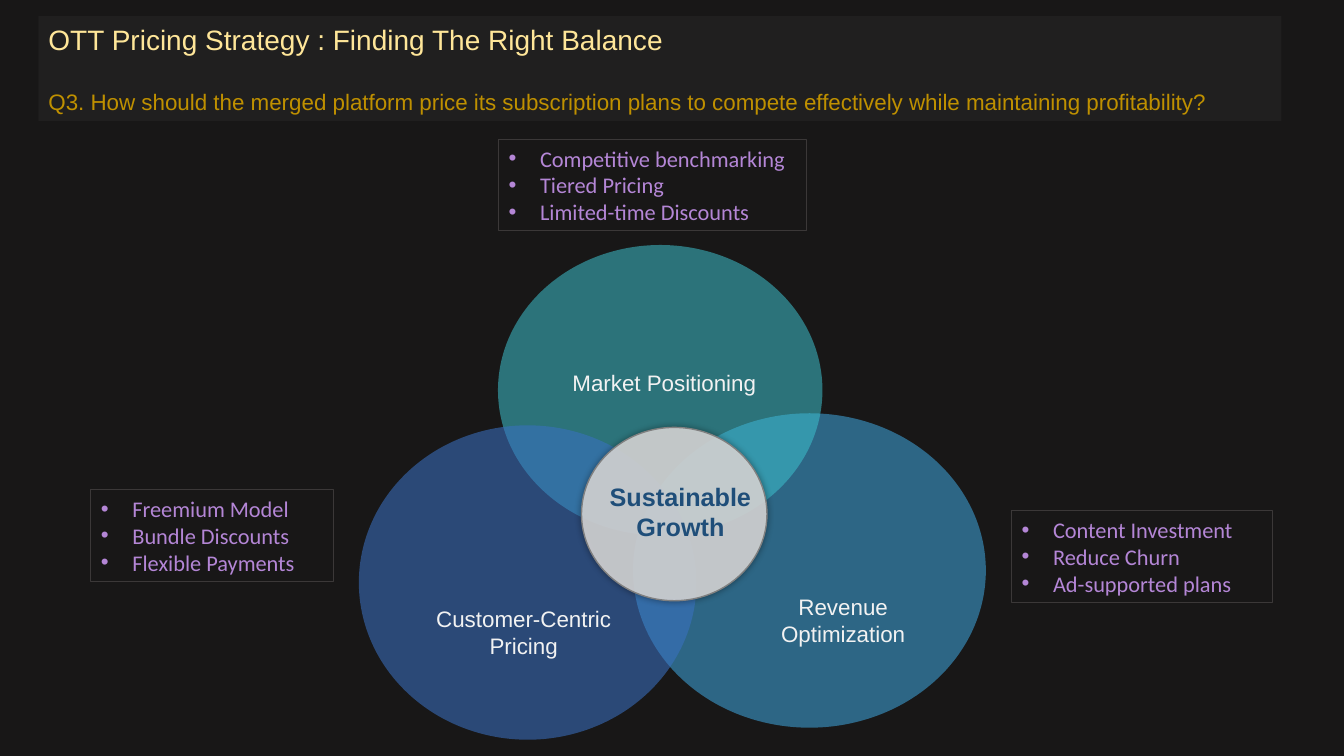
from dataclasses import dataclass

from lxml.etree import SubElement
from pptx import Presentation
from pptx.dml.color import RGBColor
from pptx.enum.shapes import MSO_SHAPE
from pptx.enum.text import MSO_ANCHOR, MSO_AUTO_SIZE, PP_ALIGN
from pptx.oxml.ns import qn
from pptx.util import Pt


@dataclass(frozen=True)
class Theme:
    back: str = "181717"
    band: str = "262626"
    head: str = "FFE699"
    query: str = "BF9000"
    market: str = "3DC1CE"
    client: str = "3A71C3"
    income: str = "3B97CA"
    core: str = "D9D9D9"
    rim: str = "808080"
    label: str = "F2F2F2"
    growth: str = "1F4E79"
    item: str = "B486D6"
    frame: str = "3B3838"
    sans: str = "Arial"
    list_font: str = "Calibri"
    large: int = 20
    medium: int = 18
    small: int = 16


THEME = Theme()


def tint(fill, color, alpha):
    """Fill with a colour at an opacity in percent."""
    fill.solid()
    fill.fore_color.rgb = RGBColor.from_string(color)
    node = fill._xPr.find(qn("a:solidFill"))[0]
    SubElement(node, qn("a:alpha"), val=str(alpha * 1000))


def style(para, color, size, face=THEME.sans, bold=False):
    font = para.font
    font.name, font.size, font.bold = face, Pt(size), bold
    font.color.rgb = RGBColor.from_string(color)


def place(box, dx, dy, wide, high):
    """Turn offsets inside a box into slide lengths."""
    return Pt(box[0] + dx), Pt(box[1] + dy), Pt(wide), Pt(high)


def set_frame(frame):
    frame.word_wrap = True
    frame.auto_size = MSO_AUTO_SIZE.NONE
    frame.vertical_anchor = MSO_ANCHOR.MIDDLE


def add_title(slide, box):
    title = slide.shapes.title
    title.left, title.top, title.width, title.height = map(Pt, box)
    tint(title.fill, THEME.band, 58)
    frame = title.text_frame
    set_frame(frame)
    frame.text = (
        "OTT Pricing Strategy : Finding The Right Balance\n"
        "Q3. How should the merged platform price its subscription plans "
        "to compete effectively while maintaining profitability?"
    )
    head, query = frame.paragraphs
    head.alignment = query.alignment = PP_ALIGN.LEFT
    query.space_before = Pt(23)
    style(head, THEME.head, THEME.large)
    style(query, THEME.query, THEME.small)


def add_disc(slide, spot, color, alpha):
    disc = slide.shapes.add_shape(MSO_SHAPE.OVAL, *spot)
    disc.shadow.inherit = False
    tint(disc.fill, color, alpha)
    disc.line.fill.background()
    return disc


def add_label(slide, spot, text, color, size, bold=False):
    frame = slide.shapes.add_textbox(*spot).text_frame
    set_frame(frame)
    frame.text = text
    for para in frame.paragraphs:
        para.alignment = PP_ALIGN.CENTER
        style(para, color, size, bold=bold)


def add_glow(shape):
    """Give a shape a soft, centred shadow."""
    effects = shape._element.spPr.find(qn("a:effectLst"))
    glow = SubElement(effects, qn("a:outerShdw"), blurRad=str(Pt(5)), dist="0")
    black = SubElement(glow, qn("a:srgbClr"), val="000000")
    SubElement(black, qn("a:alpha"), val="40000")


def add_venn(slide, box):
    # Overlapping discs, back to front
    discs = [
        ((196.2, 120.2, 252, 224.6), THEME.income, 62),
        ((99.7, 0, 231.8, 207.4), THEME.market, 54),
        ((0.3, 128.8, 241.2, 224.6), THEME.client, 56),
    ]
    for area, color, alpha in discs:
        add_disc(slide, place(box, *area), color, alpha)

    # Centre disc
    core = add_disc(slide, place(box, 159.4, 130.3, 132.5, 123.8), THEME.core, 88)
    core.line.color.rgb = RGBColor.from_string(THEME.rim)
    core.line.width = Pt(1)
    add_glow(core)

    # Labels
    labels = [
        ((132.8, 84.9, 171.4, 26.6), "Market Positioning"),
        ((41.4, 253.4, 153.4, 46), "Customer-Centric\nPricing"),
        ((279, 244.8, 134.6, 46), "Revenue\nOptimization"),
    ]
    for area, text in labels:
        add_label(slide, place(box, *area), text, THEME.label, THEME.small)
    add_label(slide, place(box, 167.4, 164.8, 125.3, 51.1), "Sustainable Growth",
              THEME.growth, THEME.medium, bold=True)


def add_list(slide, box, items):
    card = slide.shapes.add_shape(MSO_SHAPE.RECTANGLE, *map(Pt, box))
    card.shadow.inherit = False
    card.fill.background()
    card.line.color.rgb = RGBColor.from_string(THEME.frame)
    card.line.width = Pt(0.75)
    frame = card.text_frame
    set_frame(frame)
    frame.text = "\n".join(items)
    for para in frame.paragraphs:
        para.alignment = PP_ALIGN.LEFT
        props = para._p.get_or_add_pPr()
        props.set("marL", str(Pt(22.5)))
        props.set("indent", str(-Pt(22.5)))
        SubElement(props, qn("a:buFont"), typeface="Arial")
        SubElement(props, qn("a:buChar"), char="•")
        style(para, THEME.item, THEME.small, THEME.list_font)


def main():
    deck = Presentation()
    deck.slide_width, deck.slide_height = Pt(960), Pt(540)
    slide = deck.slides.add_slide(deck.slide_layouts[5])
    back = slide.background.fill
    back.solid()
    back.fore_color.rgb = RGBColor.from_string(THEME.back)

    add_title(slide, (27.4, 11.5, 887.8, 74.9))
    add_venn(slide, (256, 175, 449, 354))

    # Lists beside the discs
    lists = [
        ((356.2, 99.4, 219.8, 65.5),
         ["Competitive benchmarking", "Tiered Pricing", "Limited-time Discounts"]),
        ((722.6, 364.6, 186.5, 65.5),
         ["Content Investment", "Reduce Churn", "Ad-supported plans"]),
        ((65, 349.6, 173.3, 65.5),
         ["Freemium Model", "Bundle Discounts", "Flexible Payments"]),
    ]
    for box, items in lists:
        add_list(slide, box, items)

    deck.save("out.pptx")


if __name__ == "__main__":
    main()
